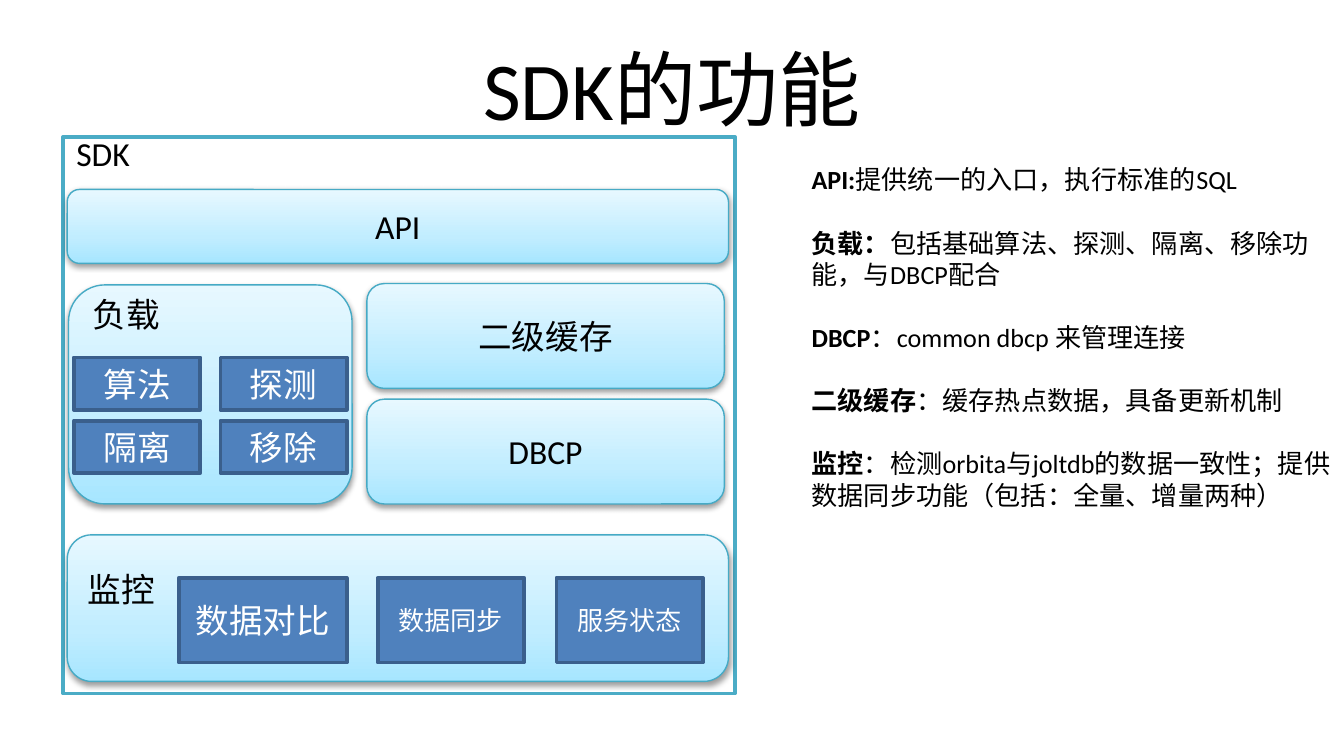
from dataclasses import dataclass
from typing import Optional

from lxml.etree import SubElement
from pptx import Presentation
from pptx.dml.color import RGBColor
from pptx.enum.shapes import MSO_SHAPE
from pptx.enum.text import MSO_ANCHOR, PP_ALIGN
from pptx.oxml.ns import qn
from pptx.util import Inches, Pt

FONT = "Calibri"
BLACK, WHITE = "000000", "FFFFFF"
PANEL_STOPS = ((0, "A7E6FF"), (35, "C1EDFF"), (100, "E7F8FF"))

presentation = Presentation()
presentation.slide_width = Inches(10)
presentation.slide_height = presentation.slide_width * 9 // 16
COLUMN = presentation.slide_width / 100
ROW = presentation.slide_height / 56.25


@dataclass
class Area:
    """Left, top, width and height in grid columns and rows."""
    left: float
    top: float
    width: float
    height: float

    def lengths(self) -> tuple:
        return (round(self.left * COLUMN), round(self.top * ROW),
                round(self.width * COLUMN), round(self.height * ROW))


@dataclass
class Block:
    label: str
    area: Area
    size: int = 18
    label_drop: Optional[float] = None  # rows above a top-left label


@dataclass
class Note:
    term: str
    detail: str
    gap: int = 17  # points above the paragraph


def colour(value: str) -> RGBColor:
    return RGBColor.from_string(value)


def add_run(paragraph, text: str, size: int, ink: str, bold: bool = False) -> None:
    run = paragraph.add_run()
    run.text = text
    run.font.name, run.font.size, run.font.bold = FONT, Pt(size), bold
    run.font.color.rgb = colour(ink)


def add_block(slide, block: Block, kind, ink: str, line: str, weight: float):
    shape = slide.shapes.add_shape(kind, *block.area.lengths())
    shape.shadow.inherit = False
    shape.line.color.rgb = colour(line)
    shape.line.width = Pt(weight)
    frame = shape.text_frame
    frame.word_wrap = True
    paragraph = frame.paragraphs[0]
    if block.label_drop is None:
        frame.vertical_anchor = MSO_ANCHOR.MIDDLE
        paragraph.alignment = PP_ALIGN.CENTER
    else:
        frame.vertical_anchor = MSO_ANCHOR.TOP
        frame.margin_top = round(block.label_drop * ROW)
        paragraph.alignment = PP_ALIGN.LEFT
    add_run(paragraph, block.label, block.size, ink)
    return shape


def add_panel(slide, block: Block) -> None:
    shape = add_block(slide, block, MSO_SHAPE.ROUNDED_RECTANGLE, BLACK, "46AAC5", 0.75)
    shape.fill.gradient()
    properties = shape._element.spPr
    # Three stops, running upwards
    gradient = properties.find(qn("a:gradFill"))
    for part in list(gradient):
        gradient.remove(part)
    stops = SubElement(gradient, qn("a:gsLst"))
    for share, value in PANEL_STOPS:
        stop = SubElement(stops, qn("a:gs"), pos=str(share * 1000))
        SubElement(stop, qn("a:srgbClr"), val=value)
    SubElement(gradient, qn("a:lin"), ang="16200000", scaled="0")
    # Soft shadow below
    effects = properties.find(qn("a:effectLst"))
    shadow = SubElement(effects, qn("a:outerShdw"), blurRad="40000", dist="20000",
                        dir="5400000", rotWithShape="0")
    shade = SubElement(shadow, qn("a:srgbClr"), val=BLACK)
    SubElement(shade, qn("a:alpha"), val="38000")


def add_tile(slide, block: Block) -> None:
    shape = add_block(slide, block, MSO_SHAPE.RECTANGLE, WHITE, "3A5F8C", 2)
    shape.fill.solid()
    shape.fill.fore_color.rgb = colour("4F81BD")


def add_notes(slide, notes: list, area: Area) -> None:
    frame = slide.shapes.add_textbox(*area.lengths()).text_frame
    frame.word_wrap = True
    for index, note in enumerate(notes):
        paragraph = frame.paragraphs[0] if index == 0 else frame.add_paragraph()
        paragraph.space_before = Pt(note.gap)
        if note.term:
            add_run(paragraph, note.term, 14, BLACK, bold=True)
        add_run(paragraph, note.detail, 14, BLACK)


PANELS = [
    Block("API", Area(5, 14.1, 49.2, 5.5)),
    Block("负载", Area(5.1, 21.2, 21.1, 16.3), label_drop=-0.15),
    Block("DBCP", Area(27.3, 29.7, 26.6, 7.8)),
    Block("二级缓存", Area(27.3, 21.1, 26.6, 7.8)),
    Block("监控", Area(5, 39.8, 49.2, 10.9), label_drop=2),
]
LOAD_TILES = [
    Block(label, Area(5.5 + 10.9 * (index % 2), 26.6 + 4.7 * (index // 2), 9.4, 3.9))
    for index, label in enumerate(("算法", "探测", "隔离", "移除"))
]
MONITOR_TILES = [
    Block("数据对比", Area(13.3, 43, 12.5, 6.3)),
    Block("数据同步", Area(28.1, 43, 10.9, 6.3), 14),
    Block("服务状态", Area(41.4, 43, 10.9, 6.3), 14),
]
NOTES = [
    Note("API:", "提供统一的入口，执行标准的SQL", 0),
    Note("负载：", "包括基础算法、探测、隔离、移除功"),
    Note("", "能，与DBCP配合", 0),
    Note("DBCP", "：common dbcp 来管理连接"),
    Note("二级缓存", "：缓存热点数据，具备更新机制"),
    Note("监控", "：检测orbita与joltdb的数据一致性；提供"),
    Note("", "数据同步功能（包括：全量、增量两种）", 0),
]

# Title
slide = presentation.slides.add_slide(presentation.slide_layouts[5])
title = slide.shapes.title
title.left, title.top, title.width, title.height = Area(5, 2.3, 90, 9.4).lengths()
title.text_frame.vertical_anchor = MSO_ANCHOR.MIDDLE
title.text_frame.margin_bottom = Inches(0.15)
heading = title.text_frame.paragraphs[0]
heading.alignment = PP_ALIGN.CENTER
add_run(heading, "SDK的功能", 44, BLACK)

# SDK frame
sdk = add_block(slide, Block("SDK", Area(4.7, 10.2, 50, 41.4), label_drop=-0.3),
                MSO_SHAPE.RECTANGLE, BLACK, "4BACC6", 2)
sdk.fill.solid()
sdk.fill.fore_color.rgb = colour(WHITE)

# Layers and their parts
for panel in PANELS:
    add_panel(slide, panel)
for tile in LOAD_TILES + MONITOR_TILES:
    add_tile(slide, tile)

# Explanations
add_notes(slide, NOTES, Area(59.4, 11.7, 41, 29.3))

presentation.save("out.pptx")
